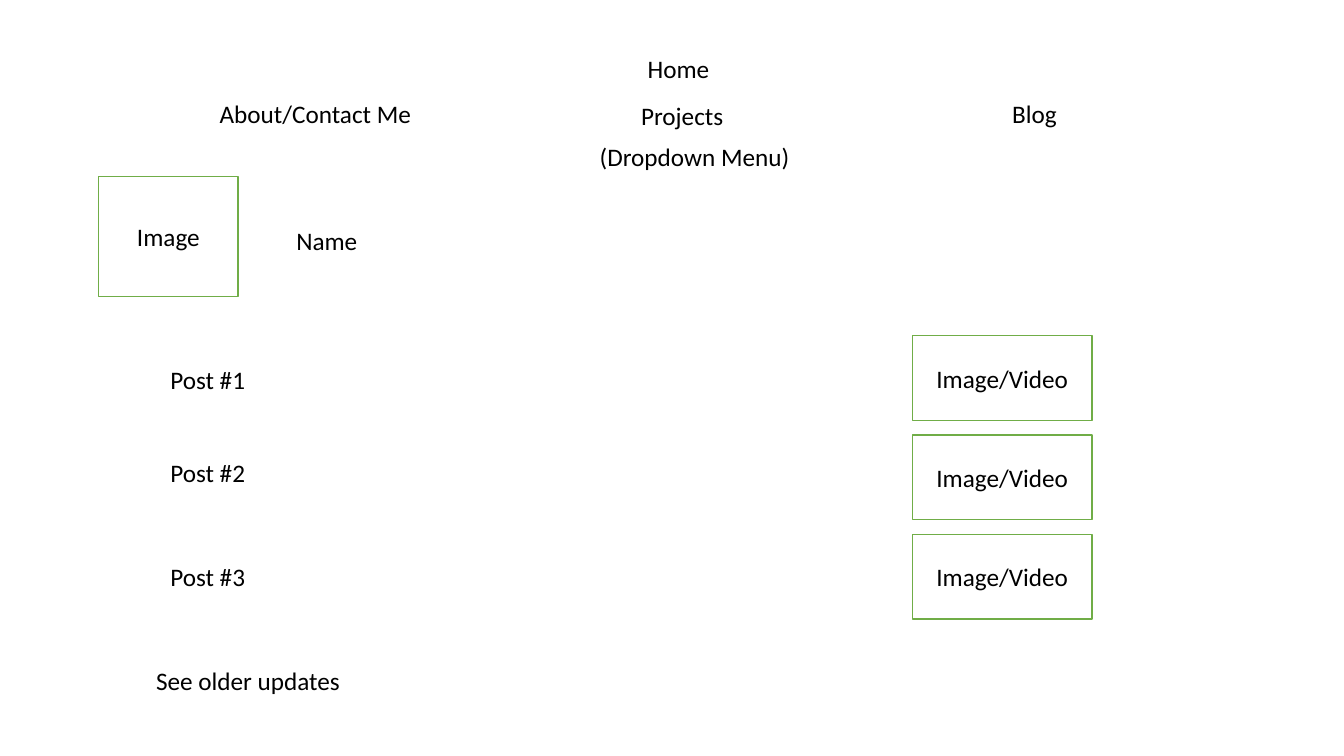
from pptx import Presentation
from pptx.dml.color import RGBColor
from pptx.enum.shapes import MSO_SHAPE as Preset
from pptx.enum.text import MSO_ANCHOR as Anchor, MSO_AUTO_SIZE as AutoSize, PP_ALIGN as Align
from pptx.util import Inches, Pt

COLORS = {"text": "000000", "fill": "FFFFFF", "outline": "70AD47"}

deck = Presentation()
deck.slide_width, deck.slide_height = Inches(13.33), Inches(7.5)
page = deck.slides.add_slide(deck.slide_layouts[6])


def write(box, text, align=Align.LEFT, anchor=Anchor.TOP, fit=AutoSize.NONE):
    frame = box.text_frame
    frame.word_wrap = True
    frame.auto_size = fit
    frame.vertical_anchor = anchor
    para = frame.paragraphs[0]
    para.alignment = align
    span = para.add_run()
    span.text = text
    span.font.name = "Calibri"
    span.font.size = Pt(18)
    span.font.color.rgb = RGBColor.from_string(COLORS["text"])


# Navigation, name and footer labels: text, left, top, width, alignment
labels = [
    ("Home", 4.08, 0.48, 5.3, Align.CENTER),
    ("About/Contact Me", 2.08, 0.93, 2.28, Align.LEFT),
    ("Projects", 6.26, 0.95, 1.78, Align.LEFT),
    ("(Dropdown Menu)", 5.85, 1.35, 2.2, Align.LEFT),
    ("Blog", 9.94, 0.93, 2.4, Align.LEFT),
    ("Name", 2.84, 2.19, 2.92, Align.LEFT),
    ("See older updates", 1.45, 6.55, 2.14, Align.LEFT),
]

# Post labels
for number, top in enumerate((3.57, 4.49, 5.52), start=1):
    labels.append((f"Post #{number}", 1.59, top, 2.49, Align.LEFT))

for text, left, top, width, align in labels:
    box = page.shapes.add_textbox(Inches(left), Inches(top), Inches(width), Inches(0.4))
    write(box, text, align=align, fit=AutoSize.SHAPE_TO_FIT_TEXT)

# Profile image frame, then one media frame per post
frames = [("Image", 0.98, 1.75, 1.38, 1.19)]
for row in range(3):
    frames.append(("Image/Video", 9.05, 3.33 + 0.985 * row, 1.78, 0.84))

for text, left, top, width, height in frames:
    box = page.shapes.add_shape(
        Preset.RECTANGLE, Inches(left), Inches(top), Inches(width), Inches(height))
    box.shadow.inherit = False
    box.fill.solid()
    box.fill.fore_color.rgb = RGBColor.from_string(COLORS["fill"])
    box.line.color.rgb = RGBColor.from_string(COLORS["outline"])
    box.line.width = Pt(1)
    write(box, text, align=Align.CENTER, anchor=Anchor.MIDDLE)

deck.save("out.pptx")
